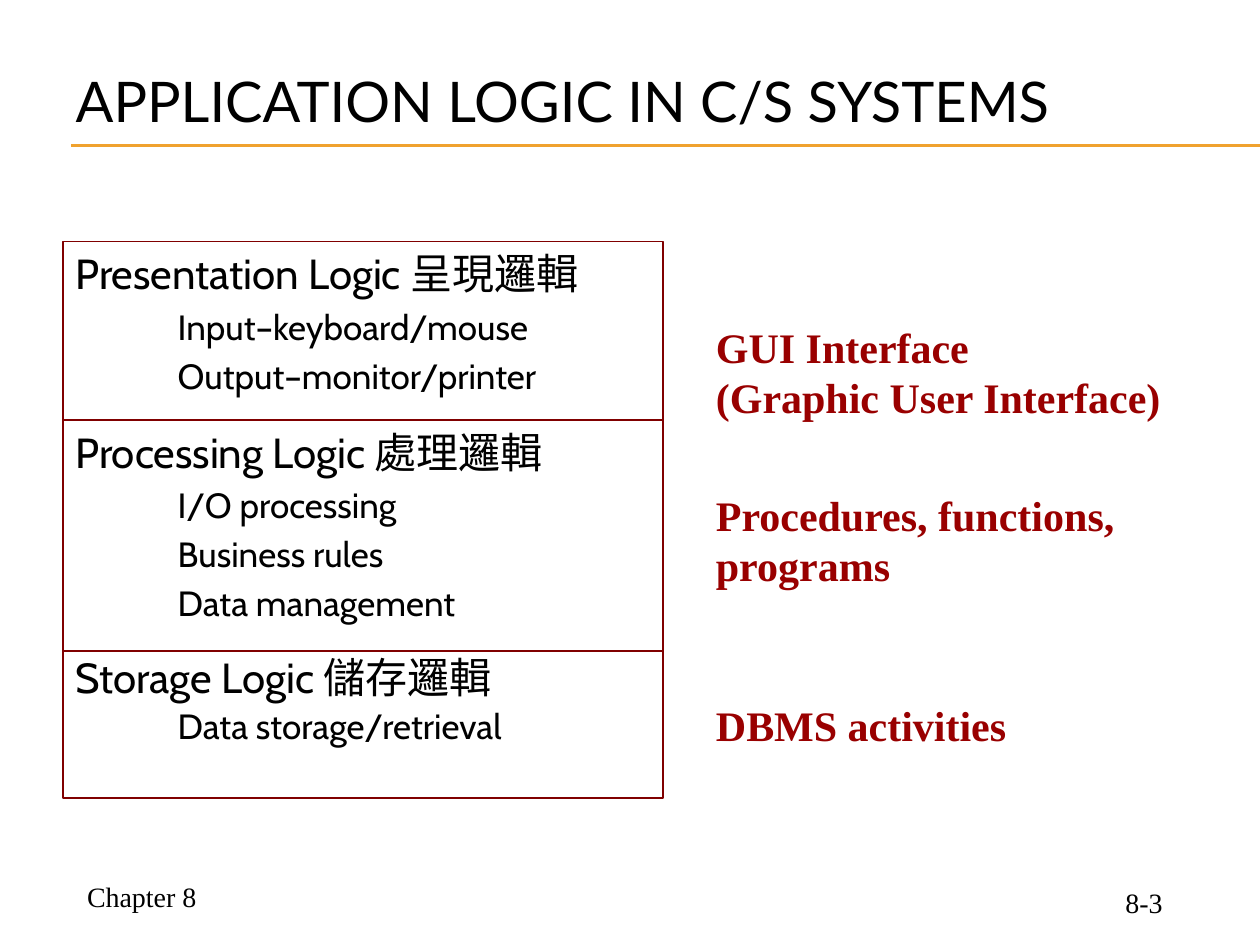
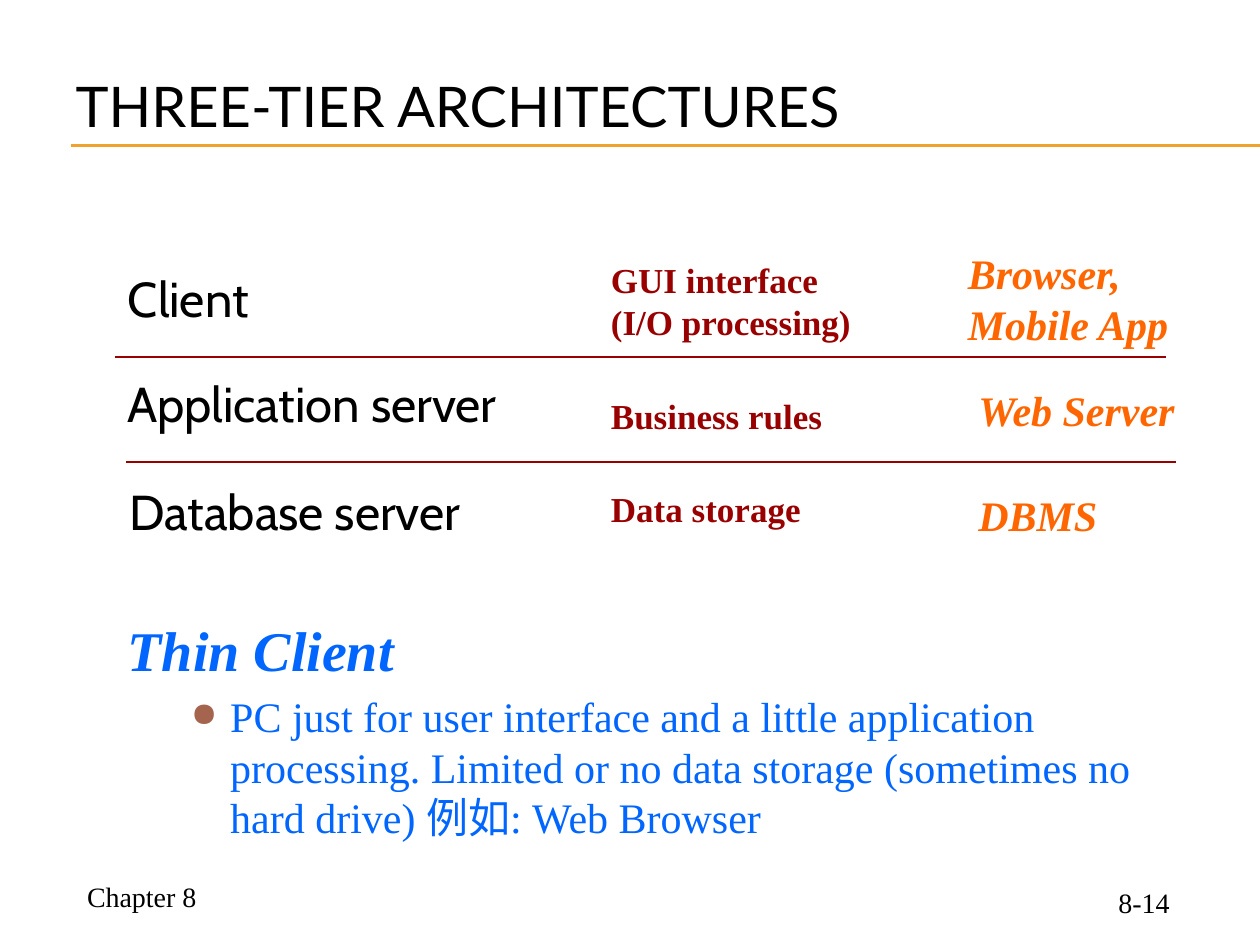
import pptx
import pptx.dml.color
import pptx.enum.shapes
import pptx.enum.text
import pptx.oxml.ns
import pptx.util
from lxml import etree

Pt = pptx.util.Pt
RGBColor = pptx.dml.color.RGBColor
Align = pptx.enum.text.PP_ALIGN
Anchor = pptx.enum.text.MSO_ANCHOR
qn = pptx.oxml.ns.qn

BLACK = RGBColor(0x00, 0x00, 0x00)
GOLD = RGBColor(0xF0, 0xA2, 0x2E)
MAROON = RGBColor(0x80, 0x00, 0x00)
RED = RGBColor(0x99, 0x00, 0x00)
ORANGE = RGBColor(0xFF, 0x66, 0x00)
BLUE = RGBColor(0x00, 0x66, 0xFF)
BULLET_BROWN = "A5644E"

SERIF = "Times New Roman"
TITLE = {"name": "Lato", "size": 32, "color": BLACK}
FOOTER = {"name": SERIF, "size": 16, "color": BLACK}
LOGIC_HEAD = {"name": "Cabin", "size": 24, "color": BLACK}
LOGIC_ITEM = {"name": "Cabin", "size": 20, "color": BLACK}
LOGIC_NOTE = {"name": SERIF, "size": 24, "color": RED, "bold": True}
TIER_NAME = {"name": "Cabin", "size": 28, "color": BLACK}
TIER_ROLE = {"name": SERIF, "size": 20, "color": RED, "bold": True}
TIER_EXAMPLE = {"name": SERIF, "size": 24, "color": ORANGE, "bold": True, "italic": True}
THIN_HEAD = {"name": SERIF, "size": 32, "color": BLUE, "bold": True, "italic": True}
THIN_ITEM = {"name": SERIF, "size": 24, "color": BLUE}

SLIDE_WIDTH, SLIDE_HEIGHT = 720, 540
ITEM_INDENT = 58.5
BULLET_HANG = 22.5

LOGIC_LEFT, LOGIC_TOP, LOGIC_WIDTH = 36, 138, 343
LOGIC_LAYERS = [
    {"heading": "Presentation Logic 呈現邏輯",
     "items": ["Input–keyboard/mouse", "Output–monitor/printer"],
     "height": 102, "line_spacing": 1.0,
     "note": ["GUI Interface", "(Graphic User Interface)"], "note_top": 180},
    {"heading": "Processing Logic 處理邏輯",
     "items": ["I/O processing", "Business rules", "Data management"],
     "height": 132, "line_spacing": 1.0,
     "note": ["Procedures, functions,", "programs"], "note_top": 276},
    {"heading": "Storage Logic 儲存邏輯",
     "items": ["Data storage/retrieval"],
     "height": 84, "line_spacing": 0.9,
     "note": ["DBMS activities"], "note_top": 396},
]
NOTE_LEFT, NOTE_WIDTH = 402, 290

TIERS = [
    [("Client", 66, 150), ("GUI interface\n(I/O processing)", 342, 144),
     ("Browser, \vMobile App", 546, 138)],
    [("Application server", 65.5, 210), ("Business rules", 342, 222),
     ("Web Server", 552, 216)],
    [("Database server", 67, 271.5), ("Data storage", 342, 275),
     ("DBMS", 552, 276)],
]
TIER_COLUMNS = [(TIER_NAME, 250), (TIER_ROLE, 192), (TIER_EXAMPLE, 150)]
TIER_DIVIDERS = [(66, 204), (72, 264)]
DIVIDER_WIDTH = 600

THIN_CLIENT = "Thin Client"
THIN_CLIENT_DETAIL = (
    "PC just for user interface and a little application processing. "
    "Limited or no data storage (sometimes no hard drive) 例如: Web Browser"
)


def format_paragraph(paragraph, style, **settings):
    for name, value in settings.items():
        setattr(paragraph, name, value)
    for run in paragraph.runs:
        for name, value in style.items():
            if name == "color":
                run.font.color.rgb = value
            else:
                setattr(run.font, name, Pt(value) if name == "size" else value)


def write_lines(frame, lines, **settings):
    frame.word_wrap = True
    for index, (text, style) in enumerate(lines):
        paragraph = frame.add_paragraph() if index else frame.paragraphs[0]
        paragraph.text = text
        before = Pt(style["size"] * 0.2 if settings.get("spaced") and index else 0)
        format_paragraph(paragraph, style, space_before=before,
                         alignment=settings.get("alignment", Align.LEFT),
                         line_spacing=settings.get("line_spacing", 1.0))


def indent(paragraph, first_line=0):
    properties = paragraph._p.get_or_add_pPr()
    properties.set("marL", str(Pt(ITEM_INDENT)))
    properties.set("indent", str(Pt(first_line)))
    return properties


def add_bullet(paragraph):
    properties = indent(paragraph, -BULLET_HANG)
    color = etree.SubElement(properties, qn("a:buClr"))
    etree.SubElement(color, qn("a:srgbClr"), val=BULLET_BROWN)
    etree.SubElement(properties, qn("a:buSzPct"), val="80000")
    etree.SubElement(properties, qn("a:buChar"), char="●")


def add_text(slide, left, top, width, height, lines, anchor=Anchor.TOP, **settings):
    box = slide.shapes.add_textbox(Pt(left), Pt(top), Pt(width), Pt(height))
    box.text_frame.vertical_anchor = anchor
    write_lines(box.text_frame, lines, **settings)
    return box


def add_rule(slide, left, top, width, color, weight):
    rule = slide.shapes.add_connector(
        pptx.enum.shapes.MSO_CONNECTOR.STRAIGHT,
        Pt(left), Pt(top), Pt(left + width), Pt(top))
    rule.line.color.rgb = color
    rule.line.width = Pt(weight)
    etree.SubElement(rule._element.spPr, qn("a:effectLst"))


def add_base_slide(presentation, title_text, title_box, number):
    slide = presentation.slides.add_slide(presentation.slide_layouts[5])
    for top in (82.8, 83.5):
        add_rule(slide, 40.5, top, SLIDE_WIDTH - 40.5, GOLD, 0.75)
    for text, left, top, width in (("Chapter 8", 38, 496.8, 86), (number, 615.6, 499.7, 76.3)):
        add_text(slide, left, top, width, 28.8, [(text, FOOTER)],
                 anchor=Anchor.BOTTOM, alignment=Align.CENTER)
    title = slide.shapes.title
    for name, value in zip(("left", "top", "width", "height"), title_box):
        setattr(title, name, Pt(value))
    title.text_frame.vertical_anchor = Anchor.MIDDLE
    write_lines(title.text_frame, [(title_text, TITLE)])
    return slide


def build_logic_slide(presentation):
    slide = add_base_slide(presentation, "APPLICATION LOGIC IN C/S SYSTEMS",
                           (36, 24, 684, 66), "8-3")
    top = LOGIC_TOP
    for layer in LOGIC_LAYERS:
        box = slide.shapes.add_shape(
            pptx.enum.shapes.MSO_SHAPE.RECTANGLE,
            Pt(LOGIC_LEFT), Pt(top), Pt(LOGIC_WIDTH), Pt(layer["height"]))
        box.shadow.inherit = False
        box.fill.background()
        box.line.color.rgb = MAROON
        box.line.width = Pt(0.75)
        box.text_frame.vertical_anchor = Anchor.TOP
        lines = [(layer["heading"], LOGIC_HEAD)]
        lines += [(item, LOGIC_ITEM) for item in layer["items"]]
        write_lines(box.text_frame, lines, spaced=True, line_spacing=layer["line_spacing"])
        for paragraph in box.text_frame.paragraphs[1:]:
            indent(paragraph)
        top += layer["height"]
        add_text(slide, NOTE_LEFT, layer["note_top"], NOTE_WIDTH, 36 * len(layer["note"]),
                 [(line, LOGIC_NOTE) for line in layer["note"]])


def build_tier_slide(presentation):
    slide = add_base_slide(presentation, "THREE-TIER ARCHITECTURES",
                           (36, 6, 648, 108), "8-14")
    for tier in TIERS:
        for (text, left, top), (style, width) in zip(tier, TIER_COLUMNS):
            lines = [(line, style) for line in text.split("\n")]
            add_text(slide, left, top, width, 36, lines)
    for left, top in TIER_DIVIDERS:
        add_rule(slide, left, top, DIVIDER_WIDTH, RED, 1)
    box = add_text(slide, 66, 348, 612, 144,
                   [(THIN_CLIENT, THIN_HEAD), (THIN_CLIENT_DETAIL, THIN_ITEM)], spaced=True)
    add_bullet(box.text_frame.paragraphs[1])


def main():
    presentation = pptx.Presentation()
    presentation.slide_width = Pt(SLIDE_WIDTH)
    presentation.slide_height = Pt(SLIDE_HEIGHT)
    build_logic_slide(presentation)
    build_tier_slide(presentation)
    presentation.save("out.pptx")


if __name__ == "__main__":
    main()
